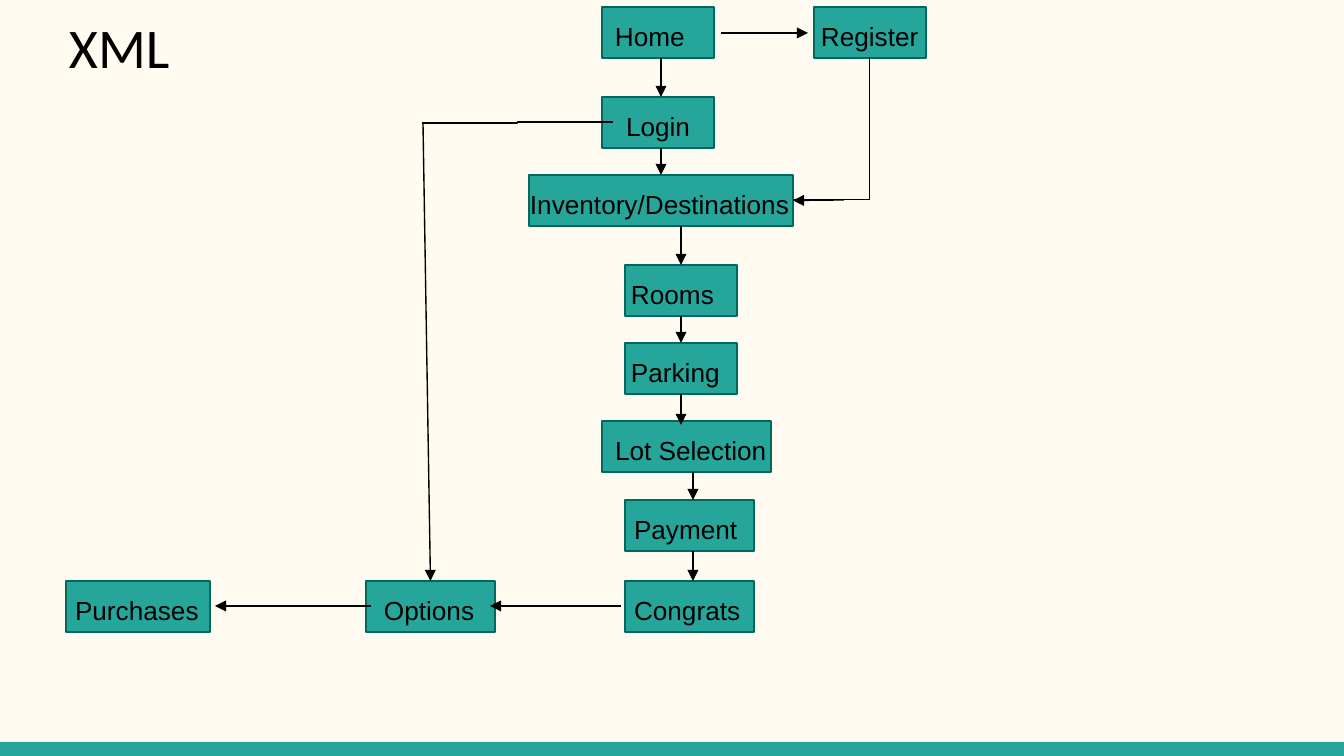
"""Builds the page flow diagram slide."""
from lxml import etree
from pptx import Presentation
from pptx.dml.color import RGBColor
from pptx.enum.shapes import MSO_CONNECTOR, MSO_SHAPE
from pptx.enum.text import MSO_ANCHOR, MSO_AUTO_SIZE, PP_ALIGN
from pptx.oxml.ns import qn
from pptx.util import Inches, Pt

CREAM = RGBColor(0xFF, 0xFB, 0xF0)
TEAL = RGBColor(0x26, 0xA6, 0x9A)
DARK_TEAL = RGBColor(0x00, 0x69, 0x5C)
BLACK = RGBColor(0x00, 0x00, 0x00)
RECTANGLE = MSO_SHAPE.RECTANGLE
STRAIGHT, ELBOW = MSO_CONNECTOR.STRAIGHT, MSO_CONNECTOR.ELBOW
TOP, LEFT, NO_AUTOFIT = MSO_ANCHOR.TOP, PP_ALIGN.LEFT, MSO_AUTO_SIZE.NONE
SLIDE_WIDTH, SLIDE_HEIGHT = 1344, 756
NODE_HEIGHT, INSET = 51, 13
ABOVE, BELOW, RIGHT = 0, 2, 3


def px(length):
    return round(length * Inches(10) / SLIDE_WIDTH)


class FlowSlide:
    def __init__(self, presentation):
        self.slide = presentation.slides.add_slide(presentation.slide_layouts[5])
        self.shapes = self.slide.shapes
        background = self.slide.background.fill
        background.solid()
        background.fore_color.rgb = CREAM

    def set_text(self, holder, text, size, font):
        frame = holder.text_frame
        frame.text = text
        frame.word_wrap = True
        frame.auto_size = NO_AUTOFIT
        frame.vertical_anchor = TOP
        frame.margin_left = frame.margin_right = px(INSET)
        frame.margin_top = frame.margin_bottom = px(INSET)
        paragraph = frame.paragraphs[0]
        paragraph.alignment = LEFT
        style = paragraph.runs[0].font
        style.size, style.name = Pt(size), font
        style.color.rgb = BLACK

    def title(self, text, left, top, width, height):
        heading = self.shapes.title
        heading.left, heading.top = px(left), px(top)
        heading.width, heading.height = px(width), px(height)
        self.set_text(heading, text, 30, "Calibri")

    def bar(self, left, top, width, height):
        block = self.shapes.add_shape(RECTANGLE, px(left), px(top), px(width), px(height))
        block.shadow.inherit = False
        block.fill.solid()
        block.fill.fore_color.rgb = TEAL
        block.line.fill.background()
        return block

    def node(self, text, left, top, width, label_left, label_width):
        box = self.bar(left, top, width, NODE_HEIGHT)
        box.line.color.rgb = DARK_TEAL
        box.line.width = Pt(0.75)
        label = self.shapes.add_textbox(px(label_left), px(top), px(label_width), px(NODE_HEIGHT))
        self.set_text(label, text, 14, "Arial")
        return box

    def line(self, start, end, kind=STRAIGHT, arrow=False):
        link = self.shapes.add_connector(kind, *map(px, start + end))
        link.line.color.rgb = BLACK
        link.line.width = Pt(0.75)
        properties = link._element.spPr
        if arrow:
            etree.SubElement(properties.find(qn("a:ln")), qn("a:tailEnd"), type="triangle")
        etree.SubElement(properties, qn("a:effectLst"))
        return link

    def arrow(self, start, end, source=None, target=None):
        link = self.line(start, end, arrow=True)
        if source:
            link.begin_connect(*source)
        if target:
            link.end_connect(*target)

    def corner(self, start, end):
        """Draws a line that goes down from start and then left to end."""
        across, down = start[0] - end[0], end[1] - start[1]
        left = (start[0] + end[0] - down) // 2
        top = (start[1] + end[1] - across) // 2
        link = self.line((left, top), (left + down, top + across), ELBOW)
        properties = link._element.spPr
        properties.find(qn("a:xfrm")).set("rot", str(90 * 60000))
        properties.find(qn("a:prstGeom")).set("prst", "bentConnector2")


def main():
    presentation = Presentation()
    presentation.slide_width, presentation.slide_height = px(SLIDE_WIDTH), px(SLIDE_HEIGHT)
    flow = FlowSlide(presentation)
    flow.bar(0, 742, SLIDE_WIDTH, 14)
    flow.title("XML", 56, 0, 204, 78)

    pages = [
        ("Home", 602, 7, 112, 602, 118),
        ("Login", 602, 97, 112, 613, 97),
        ("Register", 814, 7, 112, 808, 125),
        ("Inventory/Destinations", 529, 175, 264, 517, 327),
        ("Rooms", 625, 265, 112, 618, 125),
        ("Parking", 625, 343, 112, 618, 125),
        ("Lot Selection", 602, 421, 169, 602, 181),
        ("Payment", 625, 500, 129, 621, 144),
        ("Congrats", 625, 581, 129, 621, 144),
        ("Purchases", 66, 581, 144, 62, 152),
        ("Options", 366, 581, 129, 371, 118),
    ]
    nodes = {page[0]: flow.node(*page) for page in pages}
    inventory, rooms, parking = nodes["Inventory/Destinations"], nodes["Rooms"], nodes["Parking"]

    steps = [
        (661, 58, 97, None, None),
        (661, 148, 175, None, (inventory, ABOVE)),
        (681, 226, 265, None, (rooms, ABOVE)),
        (681, 316, 343, (rooms, BELOW), (parking, ABOVE)),
        (681, 394, 425, (parking, BELOW), None),
        (693, 472, 500, None, None),
        (693, 551, 581, None, None),
    ]
    for x, start, end, source, target in steps:
        flow.arrow((x, start), (x, end), source, target)

    flow.arrow((721, 33), (808, 33))
    flow.corner((870, 58), (793, 200))
    flow.arrow((844, 200), (793, 201), target=(inventory, RIGHT))
    flow.arrow((621, 606), (490, 606))
    flow.arrow((371, 606), (215, 606))
    flow.line((613, 122), (422, 123), ELBOW)
    flow.arrow((423, 123), (430, 581), target=(nodes["Options"], ABOVE))
    presentation.save("out.pptx")


if __name__ == "__main__":
    main()
